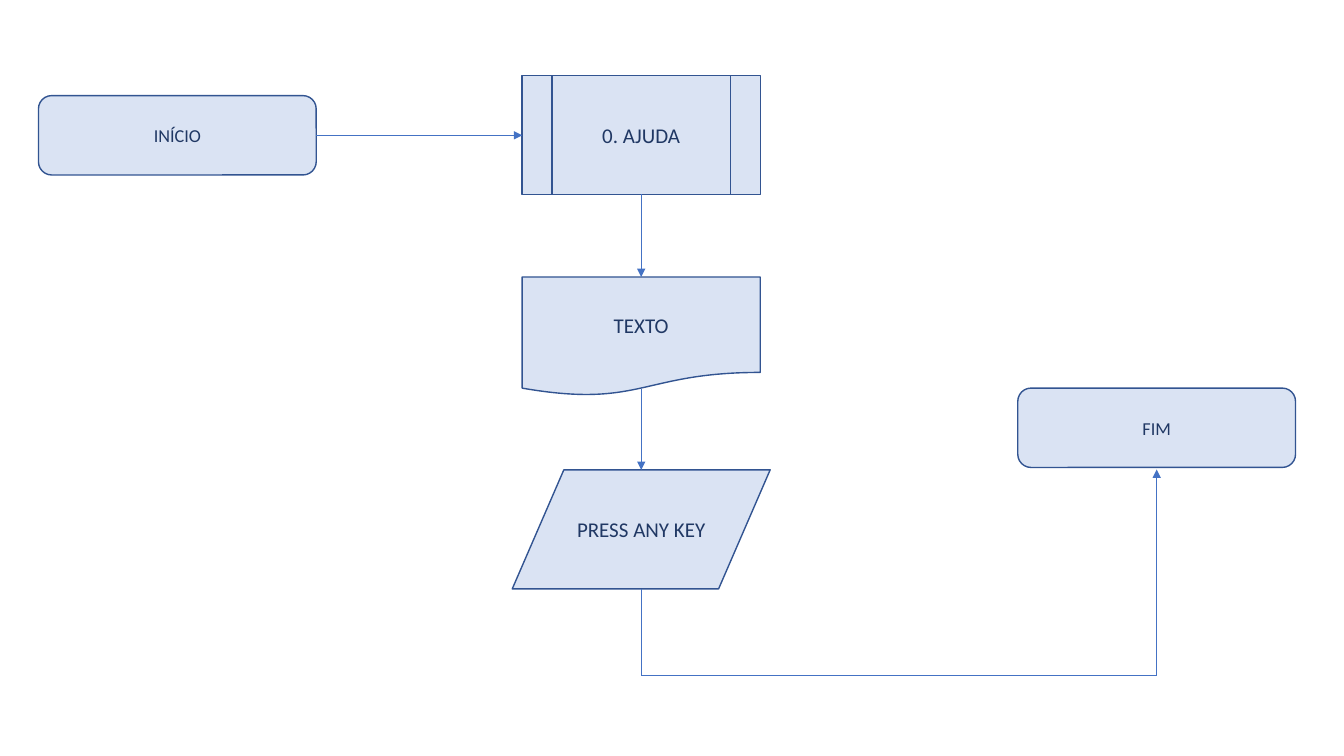
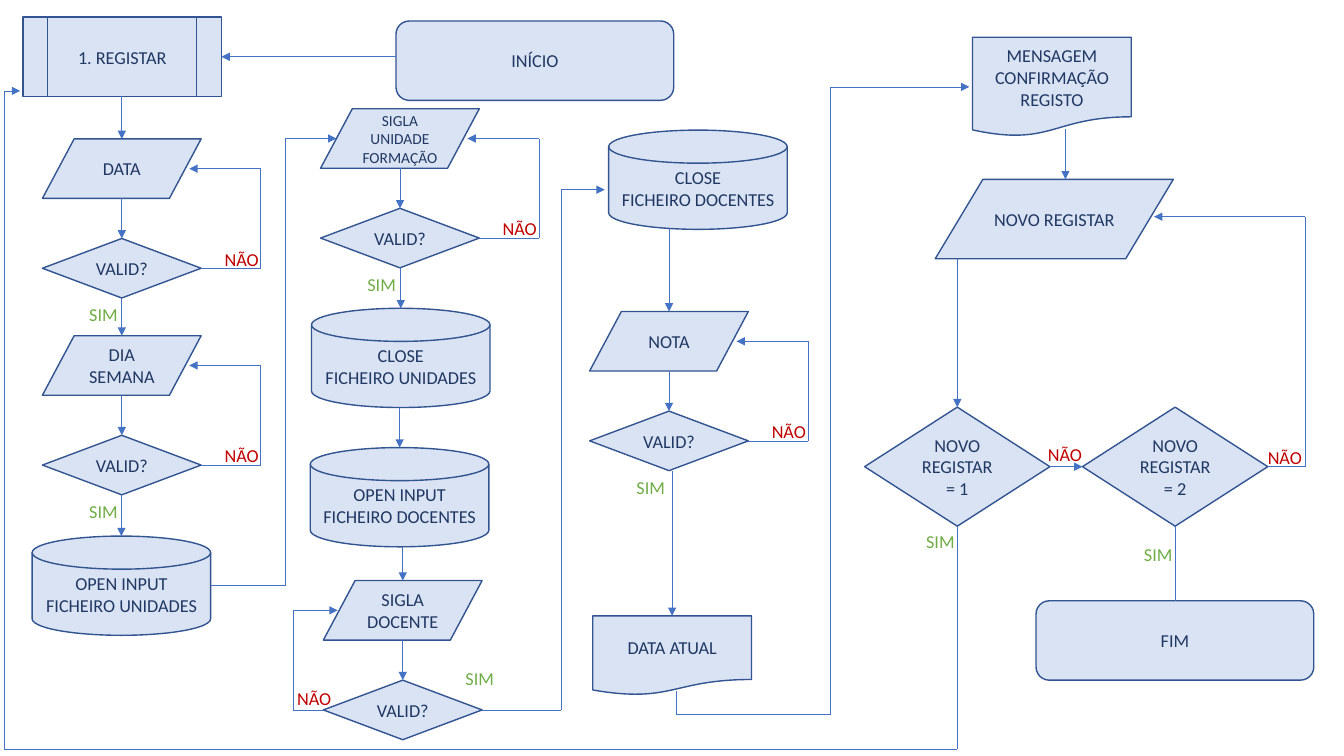
from dataclasses import dataclass
from itertools import pairwise

from lxml.etree import SubElement
from pptx import Presentation
from pptx.dml.color import RGBColor
from pptx.enum.shapes import MSO_CONNECTOR, MSO_SHAPE as Preset
from pptx.enum.text import MSO_ANCHOR, PP_ALIGN
from pptx.oxml.ns import qn
from pptx.util import Cm, Pt


@dataclass(frozen=True)
class Theme:
    """Colours, font and sizes shared by both flowcharts."""
    font: str = "Calibri"
    fill: str = "DAE3F3"
    outline: str = "325491"
    ink: str = "203864"
    flow: str = "4472C4"
    yes: str = "70AD47"
    no: str = "C00000"
    large: int = 15
    normal: int = 13
    small: int = 11
    outline_width: float = 1
    flow_width: float = 0.5


THEME = Theme()
WAVE = 0.18  # how far a document's lower edge lies above its box at the centre


@dataclass(frozen=True)
class Box:
    """A rectangle in centimetres."""
    left: float
    top: float
    width: float
    height: float

    @property
    def right(self):
        return self.left + self.width

    @property
    def bottom(self):
        return self.top + self.height

    @property
    def cx(self):
        return self.left + self.width / 2

    @property
    def cy(self):
        return self.top + self.height / 2

    def inner(self, x, y, width, height):
        """Return a box placed relative to this one."""
        return Box(self.left + x, self.top + y, width, height)

    def lengths(self):
        """Return the four lengths for python-pptx."""
        return [Cm(v) for v in (self.left, self.top, self.width, self.height)]


def colour(value):
    """Turn RRGGBB into a colour."""
    return RGBColor.from_string(value)


def write(frame, text, size, ink, align):
    """Fill a text frame and format its runs."""
    frame.text = text
    frame.word_wrap = True
    for paragraph in frame.paragraphs:
        paragraph.alignment = align
        for run in paragraph.runs:
            run.font.name = THEME.font
            run.font.size = Pt(size)
            run.font.color.rgb = colour(ink)


def step(slide, preset, box, text, size=THEME.normal):
    """Draw one flowchart step and return its box."""
    shape = slide.shapes.add_shape(preset, *box.lengths())
    shape.shadow.inherit = False
    shape.fill.solid()
    shape.fill.fore_color.rgb = colour(THEME.fill)
    shape.line.color.rgb = colour(THEME.outline)
    shape.line.width = Pt(THEME.outline_width)
    shape.text_frame.vertical_anchor = MSO_ANCHOR.MIDDLE
    write(shape.text_frame, text, size, THEME.ink, PP_ALIGN.CENTER)
    return box


def answer(slide, left, top, text):
    """Write a SIM or NÃO beside a branch."""
    width, ink = {"SIM": (1.85, THEME.yes), "NÃO": (1.37, THEME.no)}[text]
    label = slide.shapes.add_textbox(*Box(left, top, width, 0.81).lengths())
    label.text_frame.margin_right = 0
    write(label.text_frame, text, THEME.normal, ink, PP_ALIGN.LEFT)


def route(slide, *points, arrow=True):
    """Join the points with straight lines, with an arrowhead on the last."""
    for start, end in pairwise(points):
        line = slide.shapes.add_connector(
            MSO_CONNECTOR.STRAIGHT, *(Cm(v) for v in (*start, *end)))
        line.line.color.rgb = colour(THEME.flow)
        line.line.width = Pt(THEME.flow_width)
        properties = line._element.spPr
        if arrow and end is points[-1]:
            SubElement(properties.find(qn("a:ln")), qn("a:tailEnd"), type="triangle")
        SubElement(properties, qn("a:effectLst"))


def down(slide, upper, lower, rise=0, arrow=True):
    """Link two steps vertically on the centre of the lower one."""
    route(slide, (lower.cx, upper.bottom - rise), (lower.cx, lower.top), arrow=arrow)


def check(slide, box, prompt, size=THEME.normal, loop_left=False):
    """Draw an input, its validation and the retry loop; return both steps."""
    entry = step(slide, Preset.FLOWCHART_DATA, box, prompt, size)
    valid = step(slide, Preset.FLOWCHART_DECISION,
                 box.inner(0, 2.51, box.width, box.height), "VALID?")
    down(slide, entry, valid)
    if loop_left:
        near, far, back = valid.left, valid.left - 0.76, entry.left + 0.36
        no_at, yes_at = (-0.91, 2.57), (3.33, 2.06)
    else:
        near, far, back = valid.right, valid.right + 1.5, entry.right - 0.3
        no_at, yes_at = (4.34, 2.62), (0.93, 4.02)
    route(slide, (near, valid.cy), (far, valid.cy), (far, entry.cy), (back, entry.cy))
    for (x, y), text in ((no_at, "NÃO"), (yes_at, "SIM")):
        answer(slide, box.left + x, box.top + y, text)
    return entry, valid


def help_flow(slide, box):
    """Draw the help flowchart."""
    begin = step(slide, Preset.FLOWCHART_ALTERNATE_PROCESS, box.inner(0, 0.51, 7, 2), "INÍCIO")
    help_step = step(slide, Preset.FLOWCHART_PREDEFINED_PROCESS,
                     box.inner(12.19, 0, 6, 3), "0. AJUDA", THEME.large)
    message = step(slide, Preset.FLOWCHART_DOCUMENT,
                   box.inner(12.19, 5.08, 6, 3), "TEXTO", THEME.large)
    key = step(slide, Preset.FLOWCHART_DATA,
               box.inner(11.94, 9.94, 6.5, 3), "PRESS ANY KEY", THEME.large)
    finish = step(slide, Preset.FLOWCHART_ALTERNATE_PROCESS, box.inner(24.68, 7.88, 7, 2), "FIM")
    route(slide, (begin.right, begin.cy), (help_step.left, begin.cy))
    down(slide, help_step, message)
    down(slide, message, key, WAVE)
    turn = key.bottom + 2.18
    route(slide, (key.cx, key.bottom), (key.cx, turn), (finish.cx, turn),
          (finish.cx, finish.bottom + 0.05))


def date_column(slide, box):
    """Draw the date checks; return the first and last steps."""
    register = step(slide, Preset.FLOWCHART_PREDEFINED_PROCESS,
                    box.inner(0, 0, 5, 2), "1. REGISTAR")
    date, date_valid = check(slide, box.inner(0.49, 3.07, 4, 1.5), "DATA")
    weekday, weekday_valid = check(slide, box.inner(0.49, 8.03, 4, 1.5), "DIA SEMANA")
    units = step(slide, Preset.FLOWCHART_MAGNETIC_DISK,
                 box.inner(0.23, 13.08, 4.5, 2.5), "OPEN INPUT FICHEIRO UNIDADES")
    down(slide, register, date)
    down(slide, date_valid, weekday)
    down(slide, weekday_valid, units)
    return register, units


def unit_column(slide, box):
    """Draw the unit and teacher checks; return the first and last steps."""
    unit, unit_valid = check(slide, box.inner(0.26, 0, 4, 1.5),
                             "SIGLA UNIDADE FORMAÇÃO", THEME.small)
    units = step(slide, Preset.FLOWCHART_MAGNETIC_DISK,
                 box.inner(0.03, 5.03, 4.5, 2.5), "CLOSE\nFICHEIRO UNIDADES")
    teachers = step(slide, Preset.FLOWCHART_MAGNETIC_DISK,
                    box.inner(0, 8.54, 4.5, 2.5), "OPEN INPUT FICHEIRO DOCENTES")
    teacher, teacher_valid = check(slide, box.inner(0.33, 11.89, 4, 1.5),
                                   "SIGLA DOCENTE", loop_left=True)
    for upper, lower in pairwise((unit_valid, units, teachers, teacher)):
        down(slide, upper, lower)
    return unit, teacher_valid


def grade_column(slide, box):
    """Draw the grade check; return the first and last steps."""
    teachers = step(slide, Preset.FLOWCHART_MAGNETIC_DISK,
                    box.inner(0.48, 0, 4.5, 2.5), "CLOSE\nFICHEIRO DOCENTES")
    grade, grade_valid = check(slide, box.inner(0, 4.57, 4, 1.5), "NOTA")
    today = step(slide, Preset.FLOWCHART_DOCUMENT, box.inner(0.08, 12.24, 4, 2), "DATA ATUAL")
    down(slide, teachers, grade)
    down(slide, grade_valid, today)
    return teachers, today


def repeat_column(slide, box):
    """Draw the choice to register again; return the message and first choice."""
    message = step(slide, Preset.FLOWCHART_DOCUMENT,
                   box.inner(2.72, 0, 4, 2.5), "MENSAGEM CONFIRMAÇÃO REGISTO")
    again = step(slide, Preset.FLOWCHART_DATA, box.inner(1.78, 3.58, 6, 2), "NOVO REGISTAR")
    first, second = (
        step(slide, Preset.FLOWCHART_DECISION, box.inner(5.49 * i, 9.32, 4.67, 3),
             f"NOVO REGISTAR\n= {i + 1}") for i in range(2))
    finish = step(slide, Preset.FLOWCHART_ALTERNATE_PROCESS,
                  box.inner(4.32, 14.2, 7, 2), "FIM")
    route(slide, (again.cx + 0.28, message.bottom - WAVE), (again.cx + 0.28, again.top))
    down(slide, again, first)
    route(slide, (first.right, first.cy), (second.left, second.cy))
    down(slide, second, finish, arrow=False)
    far = second.right + 0.94
    route(slide, (second.right, second.cy), (far, second.cy),
          (far, again.cy - 0.06), (again.right - 0.49, again.cy - 0.06))
    for x, y, text in ((4.37, 10.11, "NÃO"), (9.91, 10.19, "NÃO"),
                       (1.3, 12.29, "SIM"), (6.79, 12.62, "SIM")):
        answer(slide, box.left + x, box.top + y, text)
    return message, first


def register_flow(slide, box):
    """Draw the registration flowchart and the links between its columns."""
    begin = step(slide, Preset.FLOWCHART_ALTERNATE_PROCESS, box.inner(9.98, 0.53, 7, 2), "INÍCIO")
    register, units = date_column(slide, box.inner(0.58, 0.43, 6, 15.6))
    unit, teacher_valid = unit_column(slide, box.inner(7.82, 2.74, 6, 15.9))
    teachers, today = grade_column(slide, box.inner(14.86, 3.28, 5.5, 14.3))
    message, first = repeat_column(slide, box.inner(21.79, 0.94, 11.3, 16.2))

    route(slide, (begin.left, register.cy), (register.right, register.cy))
    lane = box.left + 7.19
    route(slide, (units.right, units.cy), (lane, units.cy),
          (lane, unit.cy), (unit.left + 0.4, unit.cy))
    lane, entry = box.left + 14.15, teachers.cy + 0.25
    route(slide, (teacher_valid.right, teacher_valid.cy), (lane, teacher_valid.cy),
          (lane, entry), (teachers.left - 0.1, entry))
    lane, turn, exit_x = box.left + 20.93, today.bottom + 0.49, today.cx + 0.1
    route(slide, (exit_x, today.bottom - 0.1), (exit_x, turn), (lane, turn),
          (lane, message.cy), (message.left - 0.08, message.cy))
    lane, turn, entry = box.left + 0.1, box.bottom - 0.17, register.bottom - 0.14
    route(slide, (first.cx, first.bottom), (first.cx, turn), (lane, turn),
          (lane, entry), (register.left - 0.07, entry))


def main():
    """Build both slides."""
    deck = Presentation()
    page = Box(0, 0, 33.87, 19.05)
    deck.slide_width, deck.slide_height = Cm(page.width), Cm(page.height)
    blank = deck.slide_layouts[6]
    help_flow(deck.slides.add_slide(blank), page.inner(0.97, 1.9, 31.7, 15.2))
    register_flow(deck.slides.add_slide(blank), page)
    deck.save("out.pptx")


main()
